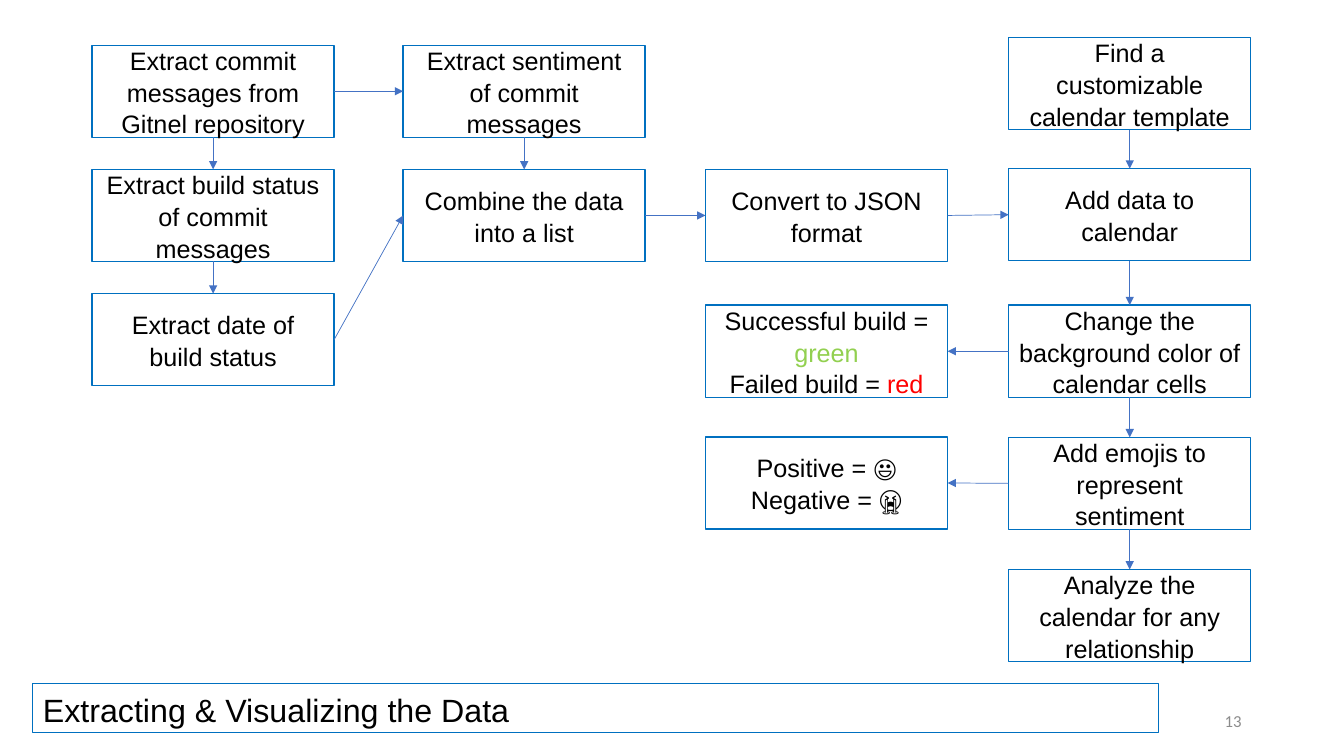
from lxml import etree
from pptx import Presentation
from pptx.dml.color import RGBColor
from pptx.enum.shapes import MSO_CONNECTOR as CONN, MSO_SHAPE as SHAPE
from pptx.enum.text import MSO_ANCHOR as ANCHOR, MSO_AUTO_SIZE as AUTO, PP_ALIGN as ALIGN
from pptx.oxml.ns import qn
from pptx.util import Cm, Pt

COLORS = {"text": "000000", "box": "FFFFFF", "border": "0070C0", "arrow": "4472C4",
          "green": "92D050", "red": "FF0000", "number": "8C8C8C"}
BOX_W, BOX_H = 6.1, 2.32
COL_STEP = 7.7
TOP, LEFT, BOTTOM, RIGHT = range(4)


def color(name):
    return RGBColor.from_string(COLORS[name])


def write(tf, text, size=18, font="Arial", ink="text", align=ALIGN.CENTER,
          anchor=ANCHOR.MIDDLE, spacing=1.05):
    """text is a string, or a list of paragraphs made of (text, ink) runs."""
    tf.word_wrap = True
    tf.vertical_anchor = anchor
    paragraphs = [[(text, ink)]] if isinstance(text, str) else text
    for i, runs in enumerate(paragraphs):
        p = tf.add_paragraph() if i else tf.paragraphs[0]
        p.alignment = align
        p.line_spacing = spacing
        for run_text, run_ink in runs:
            r = p.add_run()
            r.text = run_text
            r.font.size, r.font.name = Pt(size), font
            r.font.color.rgb = color(run_ink)


def outlined(s, kind, x, y, w, h, weight=1.0):
    sp = s.shapes.add_shape(kind, Cm(x), Cm(y), Cm(w), Cm(h))
    sp.shadow.inherit = False
    sp.line.color.rgb = color("border")
    sp.line.width = Pt(weight)
    return sp


def step(s, x, y, text):
    sp = outlined(s, SHAPE.FLOWCHART_PROCESS, x, y, BOX_W, BOX_H)
    sp.fill.solid()
    sp.fill.fore_color.rgb = color("box")
    write(sp.text_frame, text)
    return sp


def arrow(s, start, start_side, end, end_side):
    cx = s.shapes.add_connector(CONN.STRAIGHT, 0, 0, 0, 0)
    cx.begin_connect(start, start_side)
    cx.end_connect(end, end_side)
    cx.line.color.rgb = color("arrow")
    cx.line.width = Pt(0.5)
    ln = cx.line._get_or_add_ln()
    etree.SubElement(ln, qn("a:tailEnd"), type="triangle")
    etree.SubElement(ln.getparent(), qn("a:effectLst"))


def column(s, x, y, gaps, texts):
    """Stack steps downwards and link each one to the next."""
    steps = []
    for text, gap in zip(texts, [0] + gaps):
        y += gap
        steps.append(step(s, x, y, text))
        y += BOX_H
    for upper, lower in zip(steps, steps[1:]):
        arrow(s, upper, BOTTOM, lower, TOP)
    return steps


def extraction(s, x, y):
    """Left half: from commits to JSON; returns the last step."""
    commits, _, dates = column(s, x, y, [0.81, 0.81], [
        "Extract commit messages from Gitnel repository",
        "Extract build status of commit messages",
        "Extract date of build status"])
    sentiment, combined = column(s, x + COL_STEP + 0.14, y, [0.81], [
        "Extract sentiment of commit messages",
        "Combine the data into a list"])
    json_step = step(s, x + 2 * COL_STEP + 0.06, y + 3.13, "Convert to JSON format")
    arrow(s, commits, RIGHT, sentiment, LEFT)
    arrow(s, dates, RIGHT, combined, LEFT)
    arrow(s, combined, RIGHT, json_step, LEFT)
    return json_step


def calendar(s, x, y, data_step):
    """Right column with the two legends beside it."""
    _, add_data, cells, emojis, _ = column(s, x, y, [0.98, 1.12, 1.01, 1.01], [
        "Find a customizable calendar template",
        "Add data to calendar",
        "Change the background color of calendar cells",
        "Add emojis to represent sentiment",
        "Analyze the calendar for any relationship"])
    arrow(s, data_step, RIGHT, add_data, LEFT)
    legends = [
        (cells, 6.74, [[("Successful build = ", "text"), ("green", "green")],
                       [("Failed build = ", "text"), ("red", "red")]]),
        (emojis, 10.06, [[("Positive = 😃", "text")], [("Negative = 😭", "text")]])]
    for source, dy, text in legends:
        arrow(s, source, LEFT, step(s, x - COL_STEP + 0.06, y + dy, text), RIGHT)


def footer(s, x, y):
    """Title bar and slide number."""
    bar = outlined(s, SHAPE.RECTANGLE, x, y, 28.37, 1.24, weight=0.75)
    bar.fill.background()
    write(bar.text_frame, "Extracting & Visualizing the Data", size=23,
          align=ALIGN.LEFT, anchor=ANCHOR.TOP)
    bar.text_frame.auto_size = AUTO.SHAPE_TO_FIT_TEXT
    number = s.shapes.add_textbox(Cm(x + 23.09), Cm(y + 0.43), Cm(7.62), Cm(1.02))
    write(number.text_frame, "13", size=12, font="Calibri", ink="number",
          align=ALIGN.RIGHT, spacing=1.0)


def main():
    prs = Presentation()
    prs.slide_width, prs.slide_height = Cm(33.87), Cm(19.05)
    s = prs.slides.add_slide(prs.slide_layouts[6])
    json_step = extraction(s, 2.32, 1.14)
    calendar(s, 25.42, 0.95, json_step)
    footer(s, 0.83, 17.22)
    prs.save("out.pptx")


if __name__ == "__main__":
    main()
